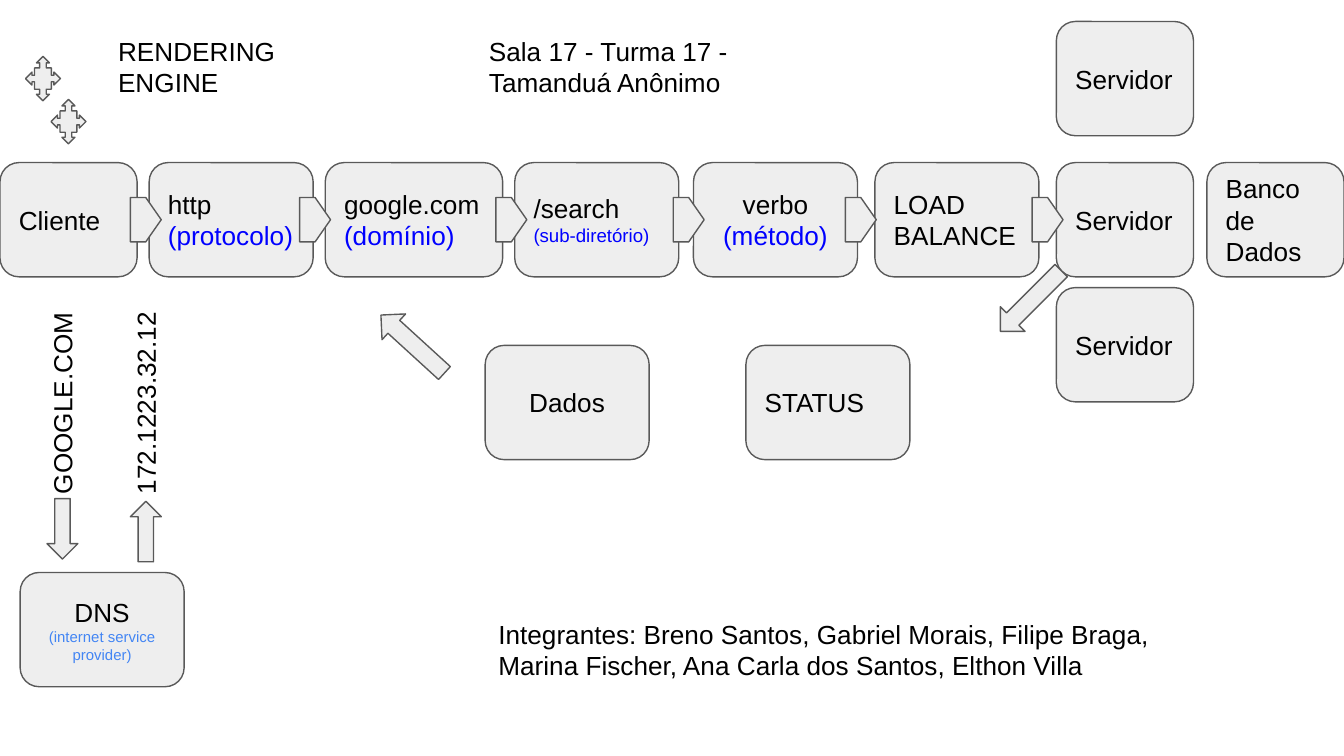
import pptx
import pptx.util
import pptx.dml.color
import pptx.enum.shapes
import pptx.enum.text

Inches, Pt = pptx.util.Inches, pptx.util.Pt
SHAPE = pptx.enum.shapes.MSO_SHAPE
ALIGN = pptx.enum.text.PP_ALIGN
ANCHOR = pptx.enum.text.MSO_ANCHOR

COLORS = {"fill": "EEEEEE", "line": "595959", "text": "000000",
          "note": "0000FF", "provider": "4285F4"}
FONT = "Arial"
BOX_H, ROW_Y = 0.85, 1.21
WIDE, NARROW = 1.22, 1.02
SERVER_X = 7.86

# Boxes: left, top, width, alignment, paragraphs of (text, size, colour) runs
BOXES = [
    (0, ROW_Y, NARROW, "l", [[("Cliente", 14, "text")]]),
    (1.11, ROW_Y, WIDE, "l", [[("http ", 14, "text"), ("(protocolo)", 14, "note")]]),
    (2.42, ROW_Y, 1.32, "l", [[("google.com", 14, "text")], [("(domínio)", 14, "note")]]),
    (3.83, ROW_Y, WIDE, "l", [[("/search ", 14, "text"), ("(sub-diretório)", 10, "note")]]),
    (5.16, ROW_Y, WIDE, "c", [[("verbo ", 14, "text"), ("(método)", 14, "note")]]),
    (6.51, ROW_Y, WIDE, "l", [[("LOAD BALANCE", 14, "text")]]),
    (8.98, ROW_Y, NARROW, "l", [[("Banco de Dados", 14, "text")]]),
    (3.61, 2.57, WIDE, "c", [[("Dados", 14, "text")]]),
    (5.55, 2.57, WIDE, "l", [[("STATUS", 14, "text")]]),
    (0.15, 4.26, WIDE, "c", [[("DNS", 14, "text")],
                             [("(internet service provider)", 8, "provider")]]),
]
SERVER_TOPS = [0.16, ROW_Y, 2.14]

# Free labels: left, top, width, height, rotation, lines
LABELS = [
    (-0.33, 2.77, 1.58, 0.43, 270, ["GOOGLE.COM"]),
    (0.29, 2.77, 1.58, 0.43, 270, ["172.1223.32.12"]),
    (0.78, 0.16, 1.39, 0.67, 0, ["RENDERING ENGINE"]),
    (3.54, 0.16, 2.07, 0.67, 0, ["Sala 17 - Turma 17 - Tamanduá Anônimo"]),
    (3.61, 4.5, 5.47, 0.67, 0, ["Integrantes: Breno Santos, Gabriel Morais, Filipe Braga,",
                                "Marina Fischer, Ana Carla dos Santos, Elthon Villa"]),
]

# Arrows
STEP_XS = [0.97, 2.23, 3.69, 5.01, 6.29, 7.68]
BLOCK_ARROWS = [  # left, top, width, height, rotation
    (0.35, 3.71, 0.23, 0.45, 0),
    (0.97, 3.73, 0.23, 0.45, 180),
    (7.54, 1.92, 0.26, 0.64, 45),
    (2.94, 2.24, 0.26, 0.64, 132.4),
]
ENGINE_ICONS = [(0.19, 0.42), (0.38, 0.74)]


def rgb(name):
    return pptx.dml.color.RGBColor.from_string(COLORS[name])


def write_text(sp, paragraphs, align="l", anchor=ANCHOR.TOP):
    tf = sp.text_frame
    tf.word_wrap = True
    tf.vertical_anchor = anchor
    tf.margin_left = tf.margin_right = tf.margin_top = tf.margin_bottom = Inches(0.1)
    for i, runs in enumerate(paragraphs):
        p = tf.add_paragraph() if i else tf.paragraphs[0]
        p.alignment = ALIGN.CENTER if align == "c" else ALIGN.LEFT
        for text, size, color in runs:
            r = p.add_run()
            r.text = text
            r.font.name, r.font.size = FONT, Pt(size)
            r.font.color.rgb = rgb(color)


def add_shape(s, kind, x, y, w, h, rotation=0, adjustments=()):
    sp = s.shapes.add_shape(kind, Inches(x), Inches(y), Inches(w), Inches(h))
    sp.rotation = rotation
    sp.shadow.inherit = False
    sp.fill.solid()
    sp.fill.fore_color.rgb = rgb("fill")
    sp.line.color.rgb = rgb("line")
    sp.line.width = Pt(0.75)
    for i, value in enumerate(adjustments):
        sp.adjustments[i] = value
    return sp


def main():
    prs = pptx.Presentation()
    prs.slide_width = Inches(10)
    prs.slide_height = Inches(10 * 9 / 16)
    s = prs.slides.add_slide(prs.slide_layouts[6])

    # Request chain, response and DNS boxes
    servers = [(SERVER_X, y, NARROW, "l", [[("Servidor", 14, "text")]])
               for y in SERVER_TOPS]
    for x, y, w, align, paragraphs in BOXES + servers:
        sp = add_shape(s, SHAPE.ROUNDED_RECTANGLE, x, y, w, BOX_H)
        write_text(sp, paragraphs, align=align, anchor=ANCHOR.MIDDLE)

    # Labels
    for x, y, w, h, rotation, lines in LABELS:
        sp = s.shapes.add_textbox(Inches(x), Inches(y), Inches(w), Inches(h))
        sp.rotation = rotation
        write_text(sp, [[(line, 14, "text")] for line in lines])

    # Steps between boxes, block arrows and rendering engine icons
    for x in STEP_XS:
        add_shape(s, SHAPE.PENTAGON, x, 1.47, 0.23, 0.33)
    for x, y, w, h, rotation in BLOCK_ARROWS:
        add_shape(s, SHAPE.DOWN_ARROW, x, y, w, h, rotation)
    for x, y in ENGINE_ICONS:
        add_shape(s, SHAPE.QUAD_ARROW_CALLOUT, x, y, 0.26, 0.33,
                  adjustments=(0.185, 0.185, 0.185, 0.481))

    prs.save("out.pptx")


if __name__ == "__main__":
    main()
